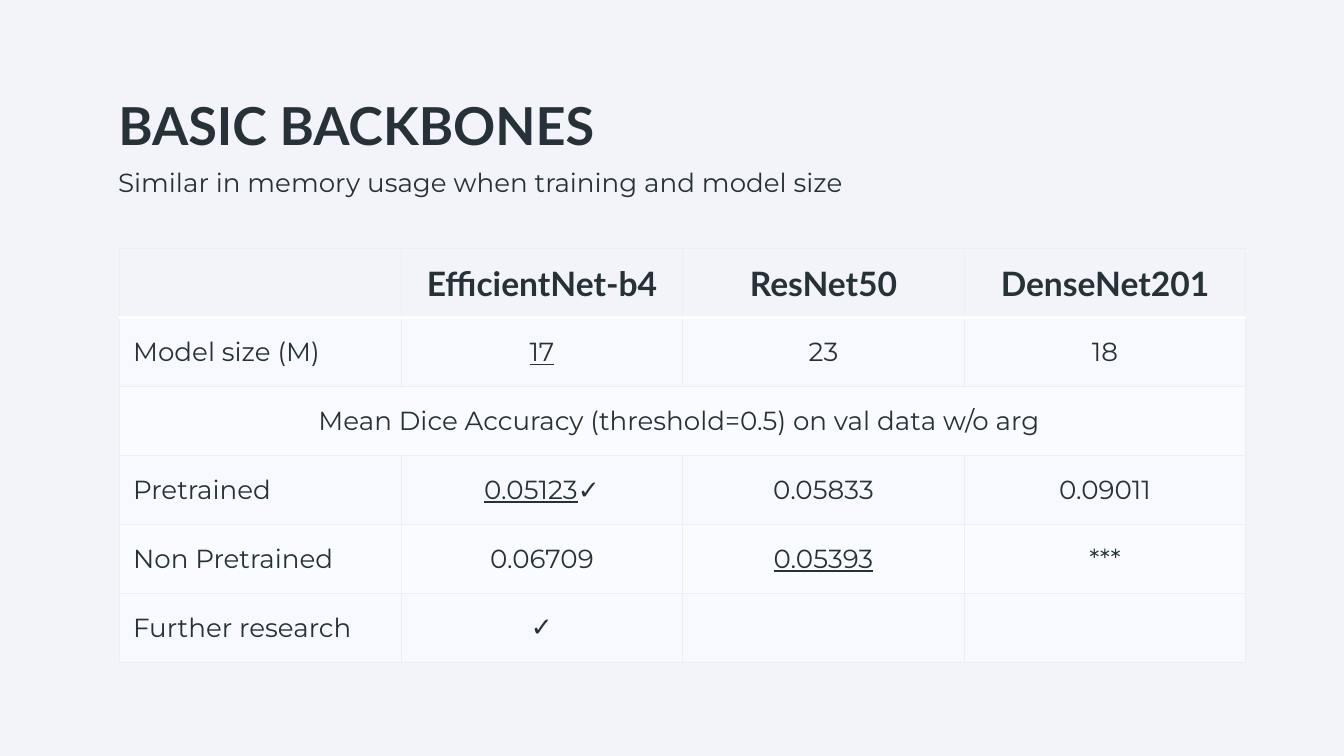
import pptx
import pptx.util
from pptx.dml.color import RGBColor
from pptx.enum.text import MSO_ANCHOR, PP_ALIGN
from pptx.oxml.ns import qn
from lxml import etree

Inches = pptx.util.Inches

INK = RGBColor(0x26, 0x32, 0x38)
PAGE = RGBColor(0xF3, 0xF4, 0xFA)
SHADED = RGBColor(0xF7, 0xF9, 0xFE)
LIGHT = RGBColor(0xF9, 0xFB, 0xFF)
GRID = RGBColor(0xED, 0xEE, 0xF5)
WHITE = RGBColor(0xFF, 0xFF, 0xFF)

TITLE = "BASIC BACKBONES"
SUBTITLE = "Similar in memory usage when training and model size"
CHECK = "✓"
ROWS = [
    ["", "EfficientNet-b4", "ResNet50", "DenseNet201"],
    ["Model size (M)", "17", "23", "18"],
    ["Mean Dice Accuracy (threshold=0.5) on val data w/o arg "],
    ["Pretrained", "0.05123" + CHECK, "0.05833", "0.09011"],
    ["Non Pretrained", "0.06709", "0.05393", "***"],
    ["Further research", CHECK, "", ""],
]
FILLS = [PAGE, SHADED, LIGHT, SHADED, LIGHT, SHADED]
BEST = {"17", "0.05123", "0.05393"}
COLUMNS = 4

TITLE_FONT = {"name": "Lato", "size": pptx.util.Pt(28), "bold": True}
HEADER_FONT = {"name": "Lato", "size": pptx.util.Pt(18), "bold": True}
BODY_FONT = {"name": "Montserrat", "size": pptx.util.Pt(14), "bold": False}
CHECK_FONT = {**BODY_FONT, "name": "Arial"}


def add_span(para, text, font):
    span = para.add_run()
    span.text = text
    for name, value in font.items():
        setattr(span.font, name, value)
    span.font.color.rgb = INK


def write_box(box, place, text, font, anchor):
    box.left, box.top, box.width, box.height = map(Inches, place)
    frame = box.text_frame
    frame.word_wrap = True
    frame.vertical_anchor = anchor
    for side in ("left", "top", "right", "bottom"):
        setattr(frame, f"margin_{side}", Inches(0.1))
    para = frame.paragraphs[0]
    para.alignment = PP_ALIGN.LEFT
    add_span(para, text, font)


def set_border(cell, side, color, points):
    line = etree.SubElement(cell._tc.get_or_add_tcPr(), qn(f"a:ln{side}"),
                            w=str(pptx.util.Pt(points)))
    fill = etree.SubElement(line, qn("a:solidFill"))
    etree.SubElement(fill, qn("a:srgbClr"), val=str(color))


def write_cell(cell, text, font, alignment):
    """Underline the best values and set a check mark in its own font."""
    para = cell.text_frame.paragraphs[0]
    para.alignment = alignment
    value = text.removesuffix(CHECK)
    if value:
        add_span(para, value, {**font, "underline": value in BEST})
    if text.endswith(CHECK):
        add_span(para, CHECK, CHECK_FONT)


def add_results(slide):
    frame = slide.shapes.add_table(len(ROWS), COLUMNS, Inches(0.89), Inches(1.85),
                                   Inches(8.38), Inches(3.08))
    table = frame.table
    for r, values in enumerate(ROWS):
        for c in range(COLUMNS):
            cell = table.cell(r, c)
            cell.vertical_anchor = MSO_ANCHOR.MIDDLE
            for side in "LRTB":
                header_rule = (r, side) in ((0, "B"), (1, "T"))
                set_border(cell, side, *((WHITE, 2) if header_rule else (GRID, 0.75)))
            cell.fill.solid()
            cell.fill.fore_color.rgb = FILLS[r]
        if len(values) == 1:
            table.cell(r, 0).merge(table.cell(r, COLUMNS - 1))
        for c, text in enumerate(values):
            is_label = c == 0 and len(values) > 1
            write_cell(table.cell(r, c), text, BODY_FONT if r else HEADER_FONT,
                       PP_ALIGN.LEFT if is_label else PP_ALIGN.CENTER)


def main():
    deck = pptx.Presentation()
    deck.slide_width = Inches(10)
    deck.slide_height = Inches(10 * 9 / 16)
    slide = deck.slides.add_slide(deck.slide_layouts[5])
    slide.background.fill.solid()
    slide.background.fill.fore_color.rgb = PAGE
    write_box(slide.shapes.title, (0.78, 0.59, 8.44, 0.52), TITLE, TITLE_FONT,
              MSO_ANCHOR.TOP)
    subtitle = slide.shapes.add_textbox(0, 0, 0, 0)
    write_box(subtitle, (0.78, 0.88, 8.01, 0.69), SUBTITLE, BODY_FONT,
              MSO_ANCHOR.BOTTOM)
    add_results(slide)
    deck.save("out.pptx")


if __name__ == "__main__":
    main()
